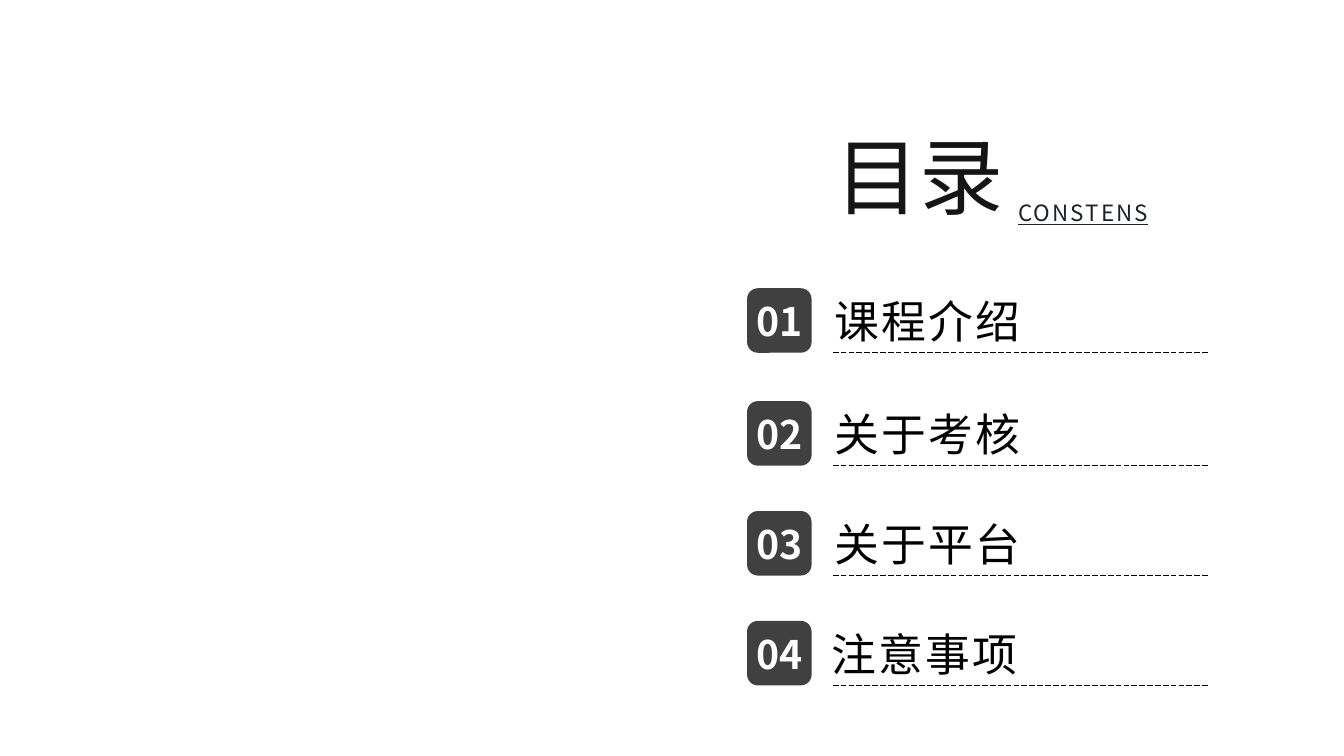
from lxml import etree
from pptx import Presentation
from pptx.dml.color import RGBColor
from pptx.enum.dml import MSO_LINE
from pptx.enum.shapes import MSO_CONNECTOR, MSO_SHAPE
from pptx.enum.text import MSO_ANCHOR, MSO_AUTO_SIZE, PP_ALIGN
from pptx.oxml.ns import qn
from pptx.util import Inches, Pt

LEFT, CENTER = PP_ALIGN.LEFT, PP_ALIGN.CENTER
MIDDLE, FIXED = MSO_ANCHOR.MIDDLE, MSO_AUTO_SIZE.NONE
ROUNDED, STRAIGHT = MSO_SHAPE.ROUNDED_RECTANGLE, MSO_CONNECTOR.STRAIGHT
LONG_DASH = MSO_LINE.LONG_DASH

FONT = "Noto Sans CJK SC"
COLORS = {
    "title": "151515",
    "subtitle": "1B222A",
    "badge": "404040",
    "number": "FFFFFF",
    "entry": "000000",
}
TITLE_ONLY = 5
CELL = 0.1  # inches per column and row of the layout grid
BADGE_COLUMN, BADGE_SIZE = 74.1, 6.4
RULE_START, RULE_END = 82.6, 119.8
# Entry text, its row and its column
ENTRIES = [
    ("课程介绍", 28.6, 81.8),
    ("关于考核", 39.8, 81.8),
    ("关于平台", 50.7, 81.8),
    ("注意事项", 61.6, 81.5),
]


def cells(*counts):
    return [Inches(count * CELL) for count in counts]


def color(name):
    return RGBColor.from_string(COLORS[name])


def write(box, text, size, ink, align=LEFT, bold=False, underline=False, spacing=0):
    """Fill a box with one formatted line; spacing is in points between letters."""
    frame = box.text_frame
    frame.word_wrap = True
    frame.auto_size = FIXED
    frame.vertical_anchor = MIDDLE
    frame.margin_top = frame.margin_bottom = 0
    para = frame.paragraphs[0]
    para.alignment = align
    span = para.add_run()
    span.text = text
    font = span.font
    font.name, font.size = FONT, Pt(size)
    font.bold, font.underline = bold, underline
    font.color.rgb = color(ink)
    properties = span._r.get_or_add_rPr()
    etree.SubElement(properties, qn("a:ea"), typeface=FONT)
    if spacing:
        properties.set("spc", str(int(spacing * 100)))


def add_text(shapes, place, text, size, ink, **style):
    write(shapes.add_textbox(*cells(*place)), text, size, ink, **style)


def add_title(page):
    title = page.shapes.title
    title.left, title.top, title.width, title.height = cells(81.2, 11.8, 20, 11.1)
    write(title, "目录", 60, "title", align=CENTER)


def add_badge(shapes, row, number):
    badge = shapes.add_shape(ROUNDED, *cells(BADGE_COLUMN, row, BADGE_SIZE, BADGE_SIZE))
    badge.shadow.inherit = False
    badge.fill.solid()
    badge.fill.fore_color.rgb = color("badge")
    badge.line.fill.background()
    add_text(shapes, (BADGE_COLUMN - 0.6, row + 0.4, 7.7, 5.7), f"{number:02}", 28,
             "number", align=CENTER, bold=True)


def add_rule(shapes, row):
    rule = shapes.add_connector(STRAIGHT, *cells(RULE_START, row, RULE_END, row))
    rule.line.color.rgb = color("entry")
    rule.line.width = Pt(0.5)
    rule.line.dash_style = LONG_DASH
    etree.SubElement(rule._element.spPr, qn("a:effectLst"))


def add_entry(page, number, text, row, column):
    shapes = page.shapes.add_group_shape().shapes
    add_badge(shapes, row, number)
    add_text(shapes, (column, row, 39.4, BADGE_SIZE), text, 32, "entry", spacing=1.5)
    add_rule(shapes, row + BADGE_SIZE)


def main():
    deck = Presentation()
    deck.slide_width, deck.slide_height = Inches(13.33), Inches(7.5)
    page = deck.slides.add_slide(deck.slide_layouts[TITLE_ONLY])
    add_title(page)
    add_text(page.shapes, (100, 19.2, 17.1, 3.7), "CONSTENS", 16, "subtitle",
             underline=True, spacing=1.5)
    for number, (text, row, column) in enumerate(ENTRIES, start=1):
        add_entry(page, number, text, row, column)
    deck.save("out.pptx")


if __name__ == "__main__":
    main()
